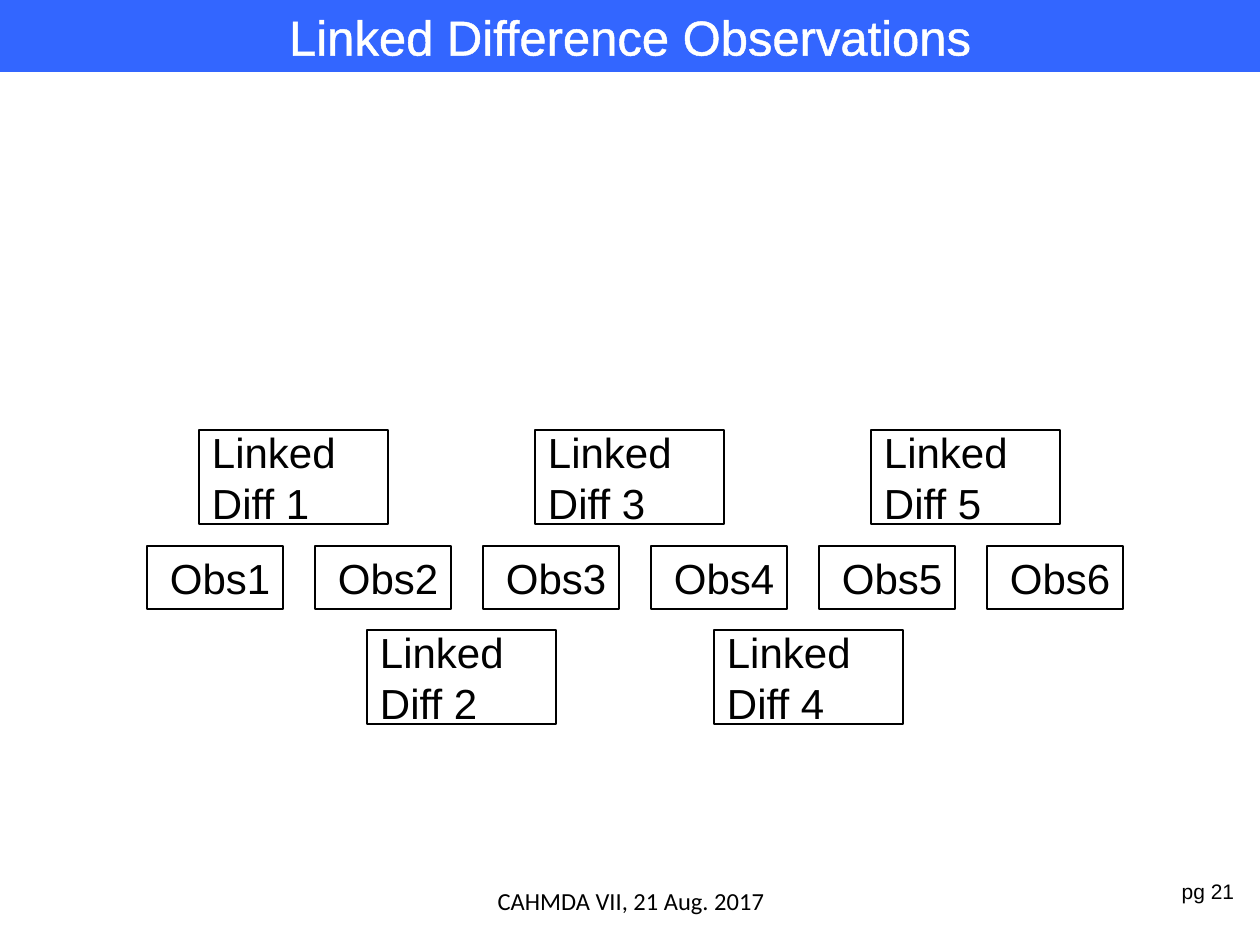
from lxml import etree
from pptx import Presentation
from pptx.dml.color import RGBColor
from pptx.enum.shapes import MSO_SHAPE
from pptx.enum.text import MSO_ANCHOR, MSO_AUTO_SIZE, PP_ALIGN
from pptx.oxml.ns import qn
from pptx.util import Pt

RECTANGLE = MSO_SHAPE.RECTANGLE
MIDDLE, TOP = MSO_ANCHOR.MIDDLE, MSO_ANCHOR.TOP
LEFT, CENTER = PP_ALIGN.LEFT, PP_ALIGN.CENTER
NO_AUTOFIT = MSO_AUTO_SIZE.NONE
EMU_PER_PX = 914400 / 126
COLORS = {"banner": "3366FF", "title": "FFFFFF", "ink": "000000"}


def px(length):
    """Turn a length in px into EMU."""
    return round(length * EMU_PER_PX)


def color(name):
    """Return a named colour."""
    return RGBColor.from_string(COLORS[name])


def write(frame, lines, size, font="Arial", ink="ink", align=LEFT, anchor=MIDDLE):
    """Fill a text frame with one paragraph for each line."""
    frame.word_wrap = True
    frame.auto_size = NO_AUTOFIT
    frame.vertical_anchor = anchor
    frame.text = "\n".join(lines)
    for paragraph in frame.paragraphs:
        paragraph.alignment = align
        paragraph.font.name = font
        paragraph.font.size = Pt(size)
        paragraph.font.color.rgb = color(ink)


def add_banner(slide, left, top, width, height):
    """Set the title as white outlined text on a blue banner."""
    title = slide.shapes.title
    title.left, title.top, title.width, title.height = map(px, (left, top, width, height))
    title.fill.solid()
    title.fill.fore_color.rgb = color("banner")
    write(title.text_frame, ["Linked Difference Observations"], 28, ink="title", align=CENTER)
    properties = title.text_frame.paragraphs[0].runs[0]._r.get_or_add_rPr()
    outline = etree.Element(qn("a:ln"), w=str(Pt(1.45)))
    fill = etree.SubElement(outline, qn("a:solidFill"))
    etree.SubElement(fill, qn("a:srgbClr"), val=COLORS["title"])
    properties.insert(0, outline)


def add_box(slide, left, top, width, height, lines, indent):
    """Add an outlined box with its label inset from the left."""
    box = slide.shapes.add_shape(RECTANGLE, px(left), px(top), px(width), px(height))
    box.shadow.inherit = False
    box.fill.background()
    box.line.color.rgb = color("ink")
    box.line.width = Pt(1.5)
    frame = box.text_frame
    frame.margin_left = px(indent)
    frame.margin_right = frame.margin_top = frame.margin_bottom = 0
    write(frame, lines, 24)


def add_diagram(slide, left, top):
    """Add a row of observations with linked differences above and below."""
    pitch = 168
    for index in range(6):
        add_box(slide, left + index * pitch, top + 116, 136, 63, [f"Obs{index + 1}"], 23)
    for number, offset in enumerate((52, 220, 388, 567, 724), 1):
        row_top = top if number % 2 else top + 200
        add_box(slide, left + offset, row_top, 189, 94, ["Linked", f"Diff {number}"], 13)


def add_footer(slide, left, top, width, height):
    """Add the event line and the page label."""
    event = slide.shapes.add_textbox(px(left + 431), px(top + 4), px(400), px(height - 4))
    write(event.text_frame, ["CAHMDA VII, 21 Aug. 2017"], 14, font="Calibri", align=CENTER)
    page = slide.shapes.add_textbox(px(left + width - 94), px(top), px(84), px(42))
    write(page.text_frame, ["pg 21"], 12, align=CENTER, anchor=TOP)


def main():
    """Build and save the slide."""
    deck = Presentation()
    deck.slide_width, deck.slide_height = px(1260), px(945)
    slide = deck.slides.add_slide(deck.slide_layouts[5])
    add_banner(slide, 0, 0, 1260, 72)
    add_diagram(slide, 147, 430)
    add_footer(slide, 0, 872, 1260, 54)
    deck.save("out.pptx")


if __name__ == "__main__":
    main()
